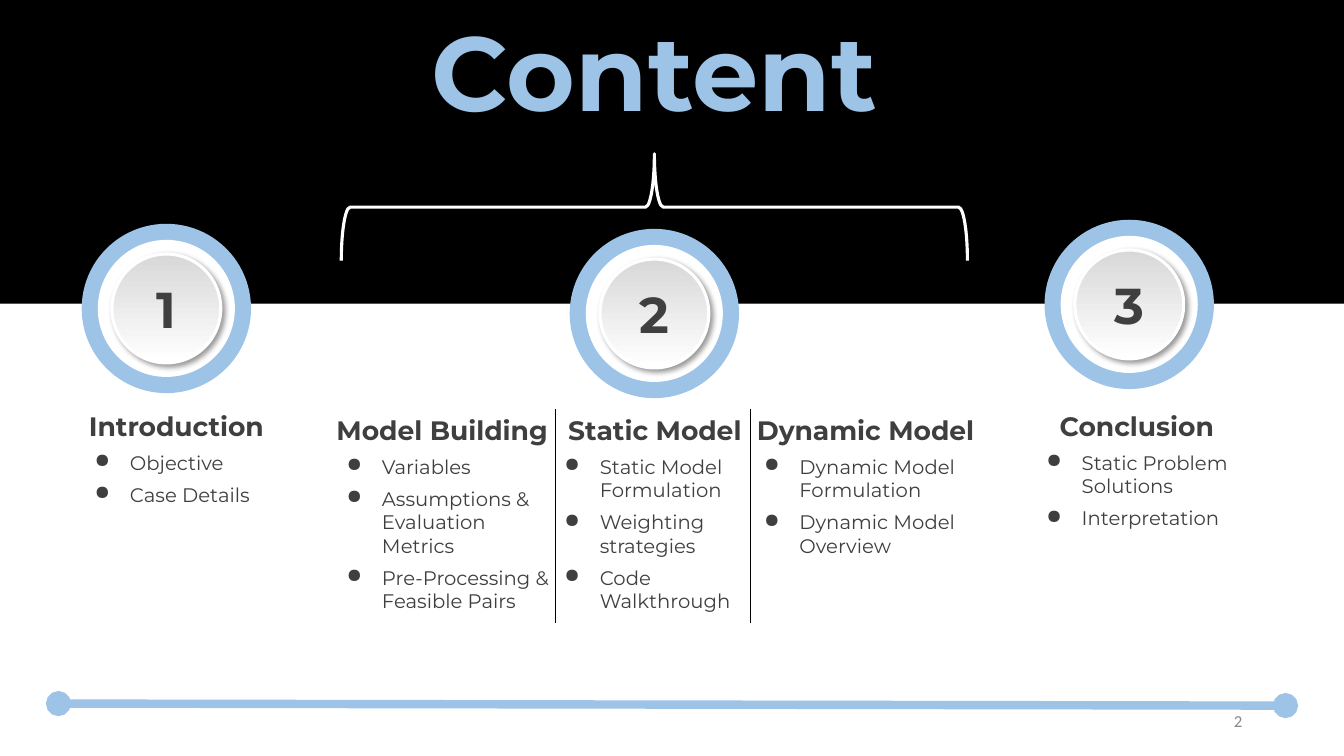
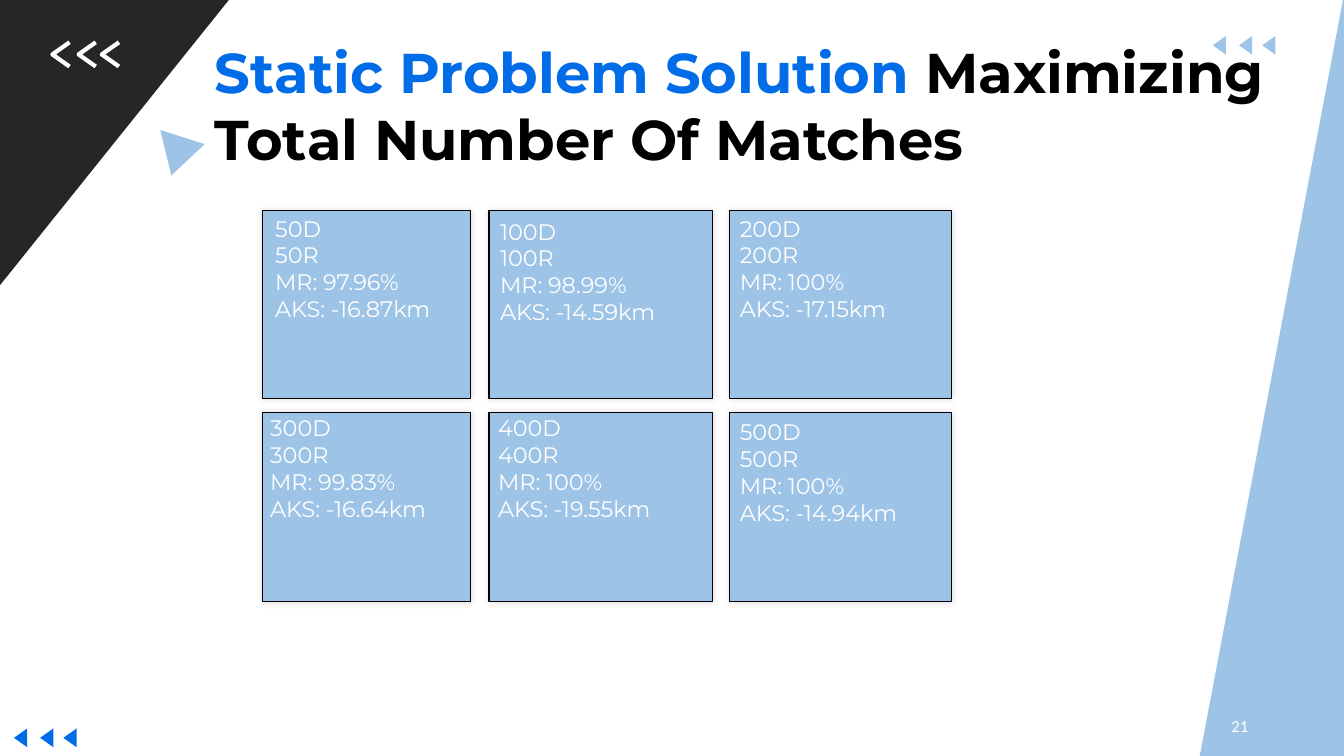
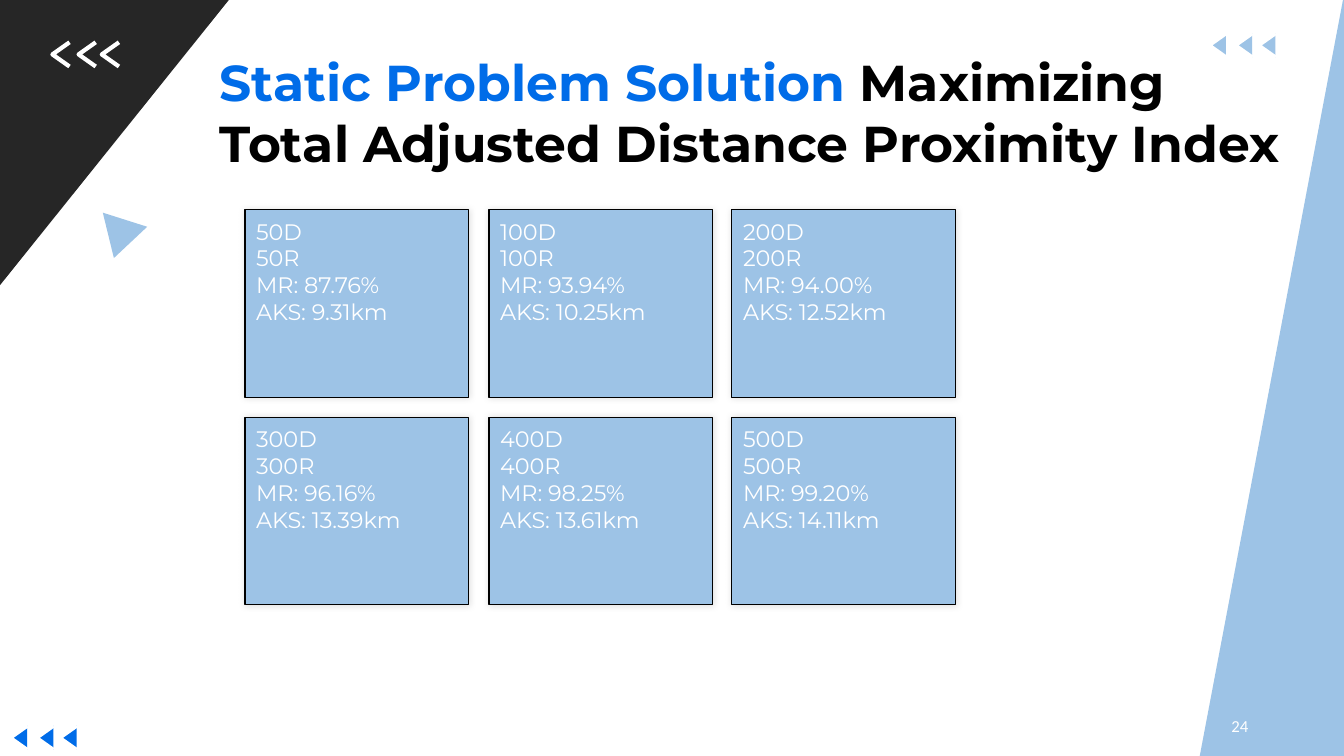
import pptx
import pptx.dml.color
import pptx.enum.shapes
import pptx.enum.text
import pptx.oxml
import pptx.oxml.ns
import pptx.util

PX = 9144  # 100 px to the inch
SHAPE = pptx.enum.shapes.MSO_SHAPE
ALIGN = pptx.enum.text.PP_ALIGN
ANCHOR = pptx.enum.text.MSO_ANCHOR
Pt = pptx.util.Pt
rgb = pptx.dml.color.RGBColor.from_string
qn = pptx.oxml.ns.qn
NAMESPACE = pptx.oxml.ns.nsdecls("a")

COLORS = {
    "white": "FFFFFF", "black": "000000", "sky": "9DC3E6", "blue": "006CE8",
    "dark": "262626", "ink": "3F3F3F", "gray": "888888", "silver": "D8D8D8",
    "slate": "44546A",
}

# style: font size, bold, font name, colour, paragraph format
STYLES = {
    "cover": (75, True, "Montserrat", "sky", {"alignment": ALIGN.CENTER}),
    "number": (36, True, "Montserrat", "ink", {"alignment": ALIGN.CENTER}),
    "heading": (19, True, "Montserrat", "ink", {"alignment": ALIGN.CENTER}),
    "bullet": (14, False, "Montserrat", "ink", {"space_before": Pt(6)}),
    "card": (16, False, "Montserrat", "white", {"alignment": ALIGN.LEFT}),
    "title 40 blue": (40, True, "Montserrat", "blue", {}),
    "title 40 black": (40, True, "Montserrat", "black", {}),
    "title 36 blue": (36, True, "Montserrat", "blue", {}),
    "title 36 black": (36, True, "Montserrat", "black", {}),
    "page gray": (12, False, "Calibri", "gray", {"alignment": ALIGN.RIGHT}),
    "page white": (12, False, "Calibri", "white", {"alignment": ALIGN.RIGHT}),
}

# shadow: opacity %, blur pt, distance pt, angle in degrees
BADGE_SHADOW = (40, 4, 3, 45)
CARD_SHADOW = (13, 5, 0, 0)


def draw(slide, kind, place, fill=None, line=None, weight=0.75, shadow=None):
    """Draw a "line" (x1, y1, x2, y2), an "outline" (contours) or a preset (box)."""
    if kind == "line":
        straight = pptx.enum.shapes.MSO_CONNECTOR.STRAIGHT
        shape = slide.shapes.add_connector(straight, *(value * PX for value in place))
        shape.element.spPr.append(pptx.oxml.parse_xml(f"<a:effectLst {NAMESPACE}/>"))
    else:
        if kind == "outline":
            builder = slide.shapes.build_freeform(*place[0][0], scale=PX)
            for index, contour in enumerate(place):
                if index:
                    builder.move_to(*contour[0])
                builder.add_line_segments(contour[1:], close=line is None)
            shape = builder.convert_to_shape()
        else:
            shape = slide.shapes.add_shape(kind, *(value * PX for value in place))
        shape.shadow.inherit = False
        if fill:
            shape.fill.solid()
            shape.fill.fore_color.rgb = rgb(COLORS[fill])
        else:
            shape.fill.background()
    if line:
        shape.line.color.rgb = rgb(COLORS[line])
        shape.line.width = Pt(weight)
    else:
        shape.line.fill.background()
    if shadow:
        opacity, blur, distance, angle = shadow
        shape.element.spPr.find(qn("a:effectLst")).append(pptx.oxml.parse_xml(
            f'<a:outerShdw {NAMESPACE} blurRad="{Pt(blur)}" dist="{Pt(distance)}" '
            f'dir="{angle * 60000}" algn="ctr" rotWithShape="0">'
            f'<a:srgbClr val="{COLORS["black"]}"><a:alpha val="{opacity * 1000}"/>'
            "</a:srgbClr></a:outerShdw>"))
    return shape


def write(slide, target, paragraphs, **frame_format):
    """Write paragraphs of (text, style) runs into a shape, or a new box at target."""
    if isinstance(target, tuple):
        target = slide.shapes.add_textbox(*(value * PX for value in target))
    frame = target.text_frame
    for name, value in {"word_wrap": True, **frame_format}.items():
        setattr(frame, name, value)
    for index, runs in enumerate(paragraphs):
        paragraph = frame.add_paragraph() if index else frame.paragraphs[0]
        for text, style in runs:
            size, bold, font_name, color, paragraph_format = STYLES[style]
            if style == "bullet":
                properties = paragraph._p.get_or_add_pPr()
                properties.set("marL", str(50 * PX))
                properties.set("indent", str(-35 * PX))
                for xml in (f'<a:buClr {NAMESPACE}><a:srgbClr val="{COLORS[color]}"/></a:buClr>',
                            f'<a:buChar {NAMESPACE} char="●"/>'):
                    properties.append(pptx.oxml.parse_xml(xml))
            for name, value in paragraph_format.items():
                setattr(paragraph, name, value)
            run = paragraph.add_run()
            run.text = text
            font_format = {"size": Pt(size), "bold": bold, "name": font_name}
            for name, value in font_format.items():
                setattr(run.font, name, value)
            run.font.color.rgb = rgb(COLORS[color])


presentation = pptx.Presentation()
presentation.slide_width = 1333 * PX
presentation.slide_height = 750 * PX
blank = presentation.slide_layouts[6]

# Content slide
slide = presentation.slides.add_slide(blank)
draw(slide, SHAPE.RECTANGLE, (-1, -10, 1335, 311), "black", "slate")
write(slide, (345, 1, 608, 136), [[("Content", "cover")]], vertical_anchor=ANCHOR.MIDDLE)

badges = [("1", 165, 306), ("2", 649, 311), ("3", 1120, 302)]
rings = [(168, "sky", None, None), (136, "white", None, None),
         (108, "silver", "white", BADGE_SHADOW)]
for number, center_x, center_y in badges:
    for size, fill, line, shadow in rings:
        box = (center_x - size // 2, center_y - size // 2, size, size)
        badge = draw(slide, SHAPE.OVAL, box, fill, line, 2.25, shadow)
    badge.fill.gradient()
    badge.fill.gradient_angle = 270
    for stop, color in zip(badge.fill.gradient_stops, ("silver", "white")):
        stop.color.rgb = rgb(COLORS[color])
    write(slide, badge, [[(number, "number")]], vertical_anchor=ANCHOR.MIDDLE)

topics = [
    ((69, 402, 212, 106), "Introduction", ["Objective", "Case Details"]),
    ((319, 406, 239, 247), "Model Building",
     ["Variables", "Assumptions & Evaluation Metrics", "Pre-Processing & Feasible Pairs"]),
    ((535, 406, 229, 284), "Static Model",
     ["Static Model Formulation", "Weighting strategies", "Code Walkthrough"]),
    ((733, 406, 251, 229), "Dynamic Model",
     ["Dynamic Model Formulation", "Dynamic Model Overview"]),
    ((1013, 402, 229, 153), "Conclusion", ["Static Problem Solutions", "Interpretation"]),
]
for box, heading, points in topics:
    write(slide, box, [[(heading, "heading")]] + [[(point, "bullet")] for point in points])

brace = draw(slide, SHAPE.LEFT_BRACE, (596, -105, 106, 621), None, "white", 2.25)
brace.rotation = 90
for x in (551, 744):
    draw(slide, "line", (x, 406, x, 618), line="black")

timeline = draw(slide, "line", (58, 698, 1275, 700), line="sky", weight=6)
for end in ("headEnd", "tailEnd"):
    timeline.element.spPr.find(qn("a:ln")).append(
        pptx.oxml.parse_xml(f'<a:{end} {NAMESPACE} type="oval"/>'))
write(slide, (942, 695, 300, 40), [[("2", "page gray")]], vertical_anchor=ANCHOR.MIDDLE)

# Solution slides: cards are (riders, match rate, distance, left inset, top inset)
solutions = [
    {
        "page": "21", "title": "Maximizing Total Number Of Matches",
        "title_size": 40, "title_box": (203, 32, 1099, 145), "pointer": (159, 129),
        "columns": [(260, 207), (485, 222), (724, 220)],
        "rows": [(209, 186), (409, 188)],
        "cards": [("50", "97.96%", "-16.87km", 13, 4), ("100", "98.99%", "-14.59km", 11, 7),
                  ("200", "100%", "-17.15km", 10, 4), ("300", "99.83%", "-16.64km", 8, 2),
                  ("400", "100%", "-19.55km", 9, 2), ("500", "100%", "-14.94km", 10, 6)],
    },
    {
        "page": "24", "title": "Maximizing Total Adjusted Distance Proximity Index",
        "title_size": 36, "title_box": (208, 46, 1099, 131), "pointer": (102, 211),
        "columns": [(243, 222), (485, 222), (726, 222)],
        "rows": [(208, 186), (414, 186)],
        "cards": [("50", "87.76%", "9.31km", 11, 8), ("100", "93.94%", "10.25km", 11, 8),
                  ("200", "94.00%", "12.52km", 11, 8), ("300", "96.16%", "13.39km", 11, 8),
                  ("400", "98.25%", "13.61km", 11, 8), ("500", "99.20%", "14.11km", 11, 8)],
    },
]
chevron_rows = [(10, 720, "blue"), (52, 42, None), (1199, 33, "sky")]

for solution in solutions:
    slide = presentation.slides.add_slide(blank)
    wedge = draw(slide, SHAPE.RIGHT_TRIANGLE, (1190, -5, 143, 755), "sky")
    wedge.element.spPr.find(qn("a:xfrm")).set("flipH", "1")
    draw(slide, "outline", [[(0, 0), (227, 0), (0, 283)]], "dark")
    x, y = solution["pointer"]
    draw(slide, "outline", [[(x, y), (x + 11, y + 45), (x + 44, y + 14)]], "sky")

    size = solution["title_size"]
    write(slide, solution["title_box"], [[
        ("Static Problem Solution ", f"title {size} blue"),
        (solution["title"], f"title {size} black")]])
    write(slide, (948, 700, 300, 40), [[(solution["page"], "page white")]],
          vertical_anchor=ANCHOR.MIDDLE)

    for left, top, fill in chevron_rows:
        chevrons = [[(x + 17, top + 24), (x, top + 12), (x + 17, top)]
                    for x in (left, left + 26, left + 49)]
        draw(slide, "outline", chevrons, fill, "white", 3)

    for index, (count, rate, distance, inset_left, inset_top) in enumerate(solution["cards"]):
        row, column = divmod(index, 3)
        left, width = solution["columns"][column]
        top, height = solution["rows"][row]
        card = draw(slide, SHAPE.RECTANGLE, (left, top, width, height),
                    "sky", "black", shadow=CARD_SHADOW)
        lines = [f"{count}D", f"{count}R", f"MR: {rate}", f"AKS: {distance}"]
        write(slide, card, [[(line, "card")] for line in lines], vertical_anchor=ANCHOR.TOP,
              margin_left=inset_left * PX, margin_top=inset_top * PX)

presentation.save("out.pptx")
